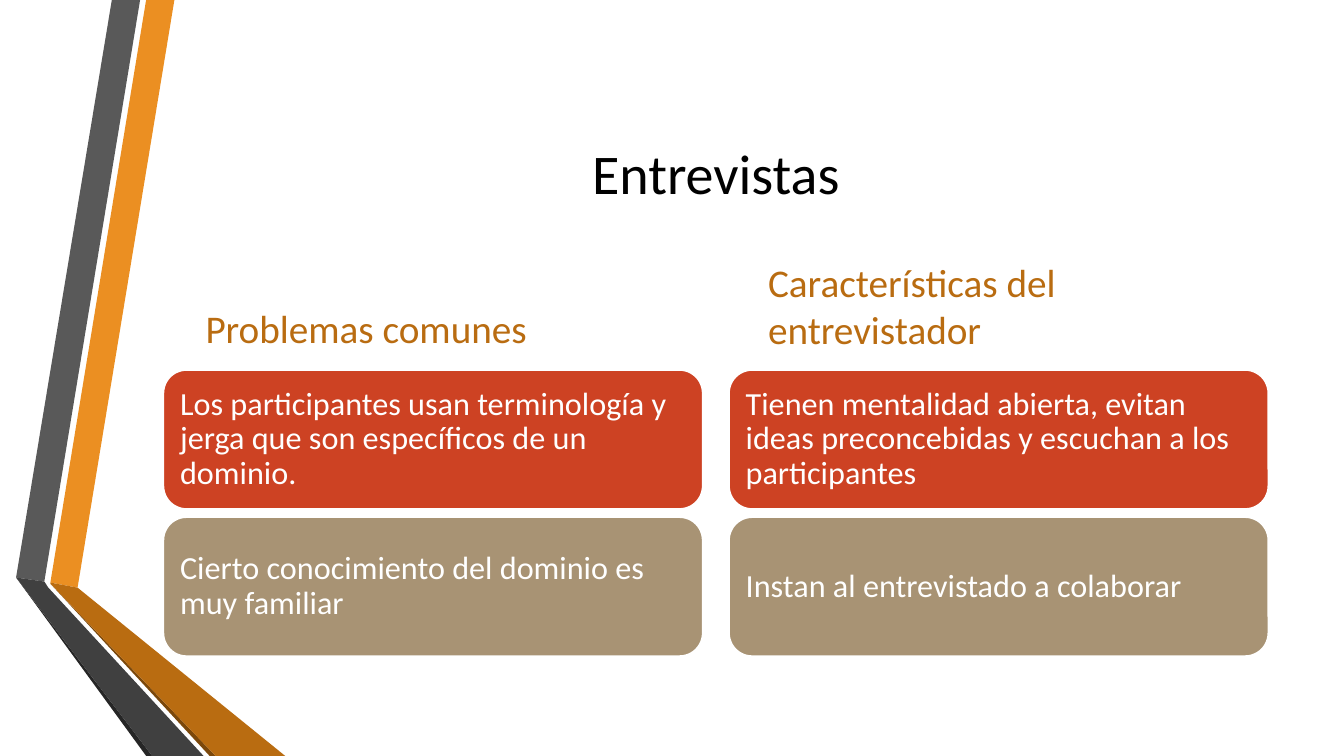
from dataclasses import dataclass

import pptx
import pptx.dml.color
import pptx.enum.shapes
import pptx.enum.text
import pptx.shapes.autoshape
import pptx.slide
import pptx.text.text
import pptx.util

Inches = pptx.util.Inches
Pt = pptx.util.Pt
RGBColor = pptx.dml.color.RGBColor
Anchor = pptx.enum.text.MSO_ANCHOR
Align = pptx.enum.text.PP_ALIGN

BLACK = RGBColor(0x00, 0x00, 0x00)
WHITE = RGBColor(0xFF, 0xFF, 0xFF)
ORANGE = RGBColor(0xEB, 0x8F, 0x22)
DARK_ORANGE = RGBColor(0xB9, 0x6C, 0x11)
BROWN = RGBColor(0x7B, 0x48, 0x0B)
GRAY = RGBColor(0x59, 0x59, 0x59)
DARK_GRAY = RGBColor(0x40, 0x40, 0x40)
CHARCOAL = RGBColor(0x26, 0x26, 0x26)
RED = RGBColor(0xCD, 0x42, 0x23)
TAN = RGBColor(0xA8, 0x93, 0x74)

FONT = "Calibri"
CARD_TOP = 3.67
CARD_WIDTH = 5.35
CARD_HEIGHT = 1.38
CARD_PITCH = 1.46
CARD_COLORS = (RED, TAN)


@dataclass(frozen=True)
class Ribbon:
    color: RGBColor
    points: tuple[tuple[float, float], ...]


@dataclass(frozen=True)
class Topic:
    heading: str
    heading_left: float
    heading_top: float
    heading_width: float
    cards_left: float
    cards: tuple[str, ...]


RIBBONS = (
    Ribbon(ORANGE, ((0.5, 5.78), (0.77, 5.83), (1.73, 0), (1.45, 0))),
    Ribbon(GRAY, ((1.39, 0), (1.11, 0), (0.16, 5.73), (0.44, 5.77))),
    Ribbon(CHARCOAL, ((0.16, 5.73), (1.45, 7.5), (1.51, 7.5))),
    Ribbon(BROWN, ((0.5, 5.79), (2.08, 7.5), (2.14, 7.5))),
    Ribbon(DARK_ORANGE, ((0.5, 5.78), (0.5, 5.79), (2.14, 7.5), (2.83, 7.5), (0.77, 5.83))),
    Ribbon(DARK_GRAY, ((2.02, 7.5), (0.48, 5.83), (0.44, 5.77), (0.16, 5.73), (1.51, 7.5))),
)

TOPICS = (
    Topic("Problemas comunes", 1.94, 2.91, 5.04, 1.62, (
        "Los participantes usan terminología y jerga que son específicos de un dominio.",
        "Cierto conocimiento del dominio es muy familiar",
    )),
    Topic("Características del entrevistador", 7.52, 2.92, 5.06, 7.23, (
        "Tienen mentalidad abierta, evitan ideas preconcebidas y escuchan a los participantes",
        "Instan al entrevistado a colaborar",
    )),
)


def write(frame: pptx.text.text.TextFrame, text: str, size: float, color: RGBColor,
          anchor: Anchor, align: Align = Align.LEFT) -> pptx.text.text._Paragraph:
    """Put one styled run in the frame and return its paragraph."""
    frame.word_wrap = True
    frame.auto_size = pptx.enum.text.MSO_AUTO_SIZE.NONE
    frame.vertical_anchor = anchor
    paragraph = frame.paragraphs[0]
    paragraph.alignment = align
    run = paragraph.add_run()
    run.text = text
    run.font.name = FONT
    run.font.size = Pt(size)
    run.font.color.rgb = color
    return paragraph


def fill_flat(shape: pptx.shapes.autoshape.Shape, color: RGBColor) -> None:
    shape.shadow.inherit = False
    shape.fill.solid()
    shape.fill.fore_color.rgb = color


def draw_ribbon(slide: pptx.slide.Slide, ribbon: Ribbon) -> None:
    start, *rest = [(Inches(x), Inches(y)) for x, y in ribbon.points]
    builder = slide.shapes.build_freeform(*start)
    builder.add_line_segments(rest, close=True)
    outline = builder.convert_to_shape()
    fill_flat(outline, ribbon.color)
    outline.line.fill.background()


def draw_card(slide: pptx.slide.Slide, text: str, left: float, top: float, color: RGBColor) -> None:
    card = slide.shapes.add_shape(
        pptx.enum.shapes.MSO_SHAPE.ROUNDED_RECTANGLE,
        Inches(left), Inches(top), Inches(CARD_WIDTH), Inches(CARD_HEIGHT))
    fill_flat(card, color)
    card.line.color.rgb = WHITE
    card.line.width = Pt(1.25)
    frame = card.text_frame
    frame.margin_left = frame.margin_right = Inches(0.1)
    frame.margin_top = frame.margin_bottom = Inches(0.1)
    paragraph = write(frame, text, 23, WHITE, Anchor.MIDDLE)
    paragraph.line_spacing = 0.9


def draw_topic(slide: pptx.slide.Slide, topic: Topic) -> None:
    heading = slide.shapes.add_textbox(
        Inches(topic.heading_left), Inches(topic.heading_top),
        Inches(topic.heading_width), Inches(0.63))
    paragraph = write(heading.text_frame, topic.heading, 28, DARK_ORANGE, Anchor.BOTTOM)
    paragraph.space_after = Pt(6)
    for row, (text, color) in enumerate(zip(topic.cards, CARD_COLORS)):
        draw_card(slide, text, topic.cards_left, CARD_TOP + row * CARD_PITCH, color)


def main() -> None:
    deck = pptx.Presentation()
    deck.slide_width = Inches(13.33)
    deck.slide_height = Inches(7.5)
    slide = deck.slides.add_slide(deck.slide_layouts[5])

    for ribbon in RIBBONS:
        draw_ribbon(slide, ribbon)

    title = slide.shapes.title
    title.left, title.top = Inches(1.62), Inches(0.75)
    title.width, title.height = Inches(10.96), Inches(1.92)
    write(title.text_frame, "Entrevistas", 40, BLACK, Anchor.MIDDLE, Align.CENTER)

    for topic in TOPICS:
        draw_topic(slide, topic)

    deck.save("out.pptx")


if __name__ == "__main__":
    main()
